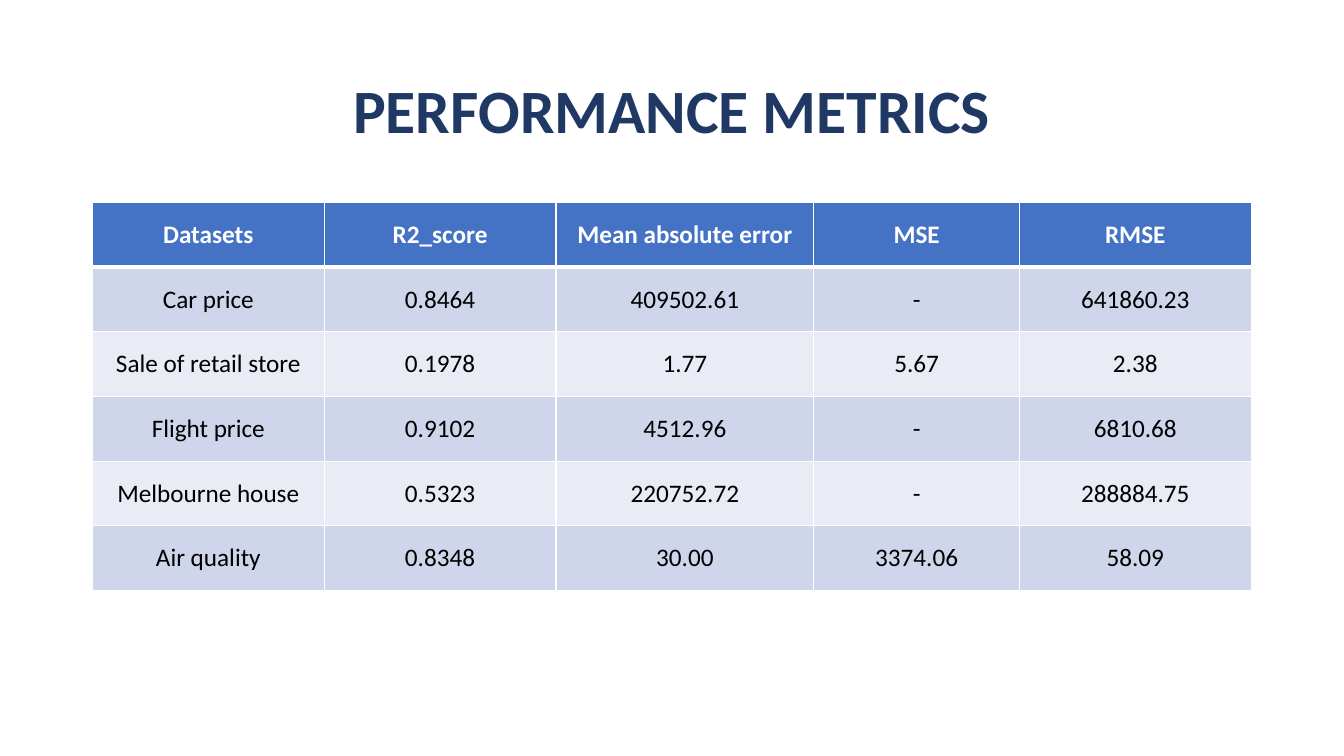
from lxml import etree
from pptx import Presentation
from pptx import util as u
from pptx.dml.color import RGBColor
from pptx.enum import text
from pptx.oxml import ns

NAVY = RGBColor(0x20, 0x38, 0x64)
BLUE = RGBColor(0x44, 0x72, 0xC4)
WHITE = RGBColor(0xFF, 0xFF, 0xFF)
BLACK = RGBColor(0x00, 0x00, 0x00)
BANDS = (RGBColor(0xE9, 0xEB, 0xF5), RGBColor(0xCF, 0xD5, 0xEA))

TITLE_FORMAT = {"name": "Calibri", "size": u.Pt(44), "bold": True}
HEADER_FORMAT = {"name": "Calibri", "size": u.Pt(18), "bold": True}
BODY_FORMAT = {"name": "Calibri", "size": u.Pt(18), "bold": False}

COLUMN_WIDTHS = (5.84, 5.84, 6.5, 5.18, 5.84)
METRICS = (
    ("Datasets", "R2_score", "Mean absolute error", "MSE", "RMSE"),
    ("Car price", "0.8464", "409502.61", "-", "641860.23"),
    ("Sale of retail store", "0.1978", "1.77", "5.67", "2.38"),
    ("Flight price", "0.9102", "4512.96", "-", "6810.68"),
    ("Melbourne house", "0.5323", "220752.72", "-", "288884.75"),
    ("Air quality", "0.8348", "30.00", "3374.06", "58.09"),
)


def write_centred(frame, words, font_format, color):
    """Fill a text frame with one centred, formatted paragraph."""
    para = frame.paragraphs[0]
    para.alignment = text.PP_ALIGN.CENTER
    span = para.add_run()
    span.text = words
    for name, value in font_format.items():
        setattr(span.font, name, value)
    span.font.color.rgb = color
    return para


def add_borders(cell, widths):
    """Draw white cell borders, with widths in points keyed by side."""
    properties = cell._tc.get_or_add_tcPr()
    for side, width in widths.items():
        line = etree.SubElement(properties, ns.qn(f"a:ln{side}"), w=str(u.Pt(width)))
        fill = etree.SubElement(line, ns.qn("a:solidFill"))
        etree.SubElement(fill, ns.qn("a:srgbClr"), val=str(WHITE))


def place_title(page, words, box):
    """Move and format the title placeholder within its box."""
    title = page.shapes.title
    title.left, title.top, title.width, title.height = map(u.Cm, box)
    title.text_frame.vertical_anchor = text.MSO_ANCHOR.MIDDLE
    para = write_centred(title.text_frame, words, TITLE_FORMAT, NAVY)
    para.line_spacing = 0.9


def place_metrics_table(page, rows, box):
    """Build the banded metrics table within its box."""
    table = page.shapes.add_table(len(rows), len(rows[0]), *map(u.Cm, box)).table
    for column, width in zip(table.columns, COLUMN_WIDTHS):
        column.width = u.Cm(width)
    for row_index, row in enumerate(rows):
        header = row_index == 0
        fill = BLUE if header else BANDS[row_index % 2]
        font_format, color = (HEADER_FORMAT, WHITE) if header else (BODY_FORMAT, BLACK)
        borders = {"L": 1, "R": 1, "T": 3 if row_index == 1 else 1, "B": 3 if header else 1}
        for column_index, words in enumerate(row):
            cell = table.cell(row_index, column_index)
            cell.vertical_anchor = text.MSO_ANCHOR.MIDDLE
            add_borders(cell, borders)
            cell.fill.solid()
            cell.fill.fore_color.rgb = fill
            write_centred(cell.text_frame, words, font_format, color)


def build_deck():
    """Create the deck with its performance metrics slide."""
    deck = Presentation()
    deck.slide_width, deck.slide_height = u.Cm(33.87), u.Cm(19.05)
    page = deck.slides.add_slide(deck.slide_layouts[5])
    place_title(page, "PERFORMANCE METRICS", (2.33, 1.01, 29.21, 3.68))
    place_metrics_table(page, METRICS, (2.33, 5.1, sum(COLUMN_WIDTHS), 9.78))
    return deck


build_deck().save("out.pptx")
